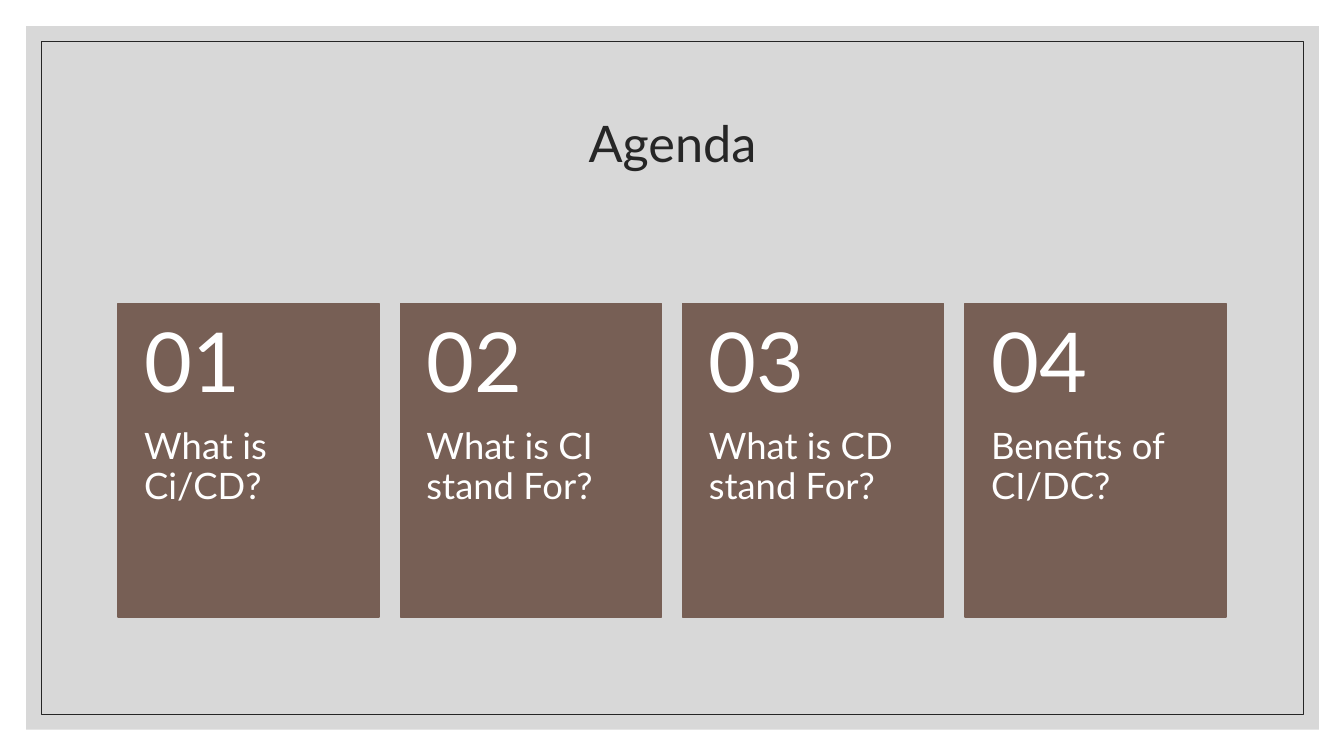
from dataclasses import dataclass

from lxml import etree
from pptx import Presentation
from pptx.dml.color import RGBColor
from pptx.enum.shapes import MSO_SHAPE
from pptx.enum.text import MSO_ANCHOR, PP_ALIGN
from pptx.oxml.ns import qn
from pptx.util import Inches, Pt

RECTANGLE = MSO_SHAPE.RECTANGLE
TOP, MIDDLE = MSO_ANCHOR.TOP, MSO_ANCHOR.MIDDLE
LEFT, CENTER = PP_ALIGN.LEFT, PP_ALIGN.CENTER
TITLE_ONLY = 5


@dataclass(frozen=True)
class Theme:
    font: str = "Lato"
    panel: str = "BFBFBF"
    panel_opacity: int = 60
    ink: str = "262626"
    card: str = "775F55"
    card_text: str = "FFFFFF"
    title_size: int = 36
    number_size: int = 59
    topic_size: int = 26
    line_spacing: float = 0.9


THEME = Theme()
TOPICS = [
    "What is Ci/CD?",
    "What is CI stand For?",
    "What is CD stand For?",
    "Benefits of CI/DC?",
]
CARD_LEFT, CARD_TOP, CARD_PITCH = 1.17, 3.01, 2.8
CARD_WIDTH, CARD_HEIGHT, NUMBER_HEIGHT = 2.59, 3.11, 1.24
CARD_INSET = 0.26


def add_rectangle(shapes, box, fill=None, line=None, line_width=1):
    rectangle = shapes.add_shape(RECTANGLE, *map(Inches, box))
    rectangle.shadow.inherit = False
    if fill:
        rectangle.fill.solid()
        rectangle.fill.fore_color.rgb = RGBColor.from_string(fill)
    else:
        rectangle.fill.background()
    if line:
        rectangle.line.color.rgb = RGBColor.from_string(line)
        rectangle.line.width = Pt(line_width)
    else:
        rectangle.line.fill.background()
    return rectangle


def set_opacity(shape, percent):
    color = shape.fill._xPr.find(qn("a:solidFill"))[0]
    etree.SubElement(color, qn("a:alpha"), val=str(percent * 1000))


def write_text(frame, text, size, color, align, anchor):
    frame.word_wrap = True
    frame.vertical_anchor = anchor
    paragraph = frame.paragraphs[0]
    paragraph.alignment = align
    paragraph.line_spacing = THEME.line_spacing
    run = paragraph.add_run()
    run.text = text
    run.font.name = THEME.font
    run.font.size = Pt(size)
    run.font.color.rgb = RGBColor.from_string(color)


def add_card_text(shapes, box, text, size, anchor, inset_top, inset_bottom):
    frame = shapes.add_textbox(*map(Inches, box)).text_frame
    frame.margin_left = frame.margin_right = Inches(CARD_INSET)
    frame.margin_top, frame.margin_bottom = Inches(inset_top), Inches(inset_bottom)
    write_text(frame, text, size, THEME.card_text, LEFT, anchor)


def add_backdrop(slide):
    panel = add_rectangle(slide.shapes, (0.26, 0.26, 12.82, 6.98), THEME.panel)
    set_opacity(panel, THEME.panel_opacity)
    add_rectangle(slide.shapes, (0.41, 0.41, 12.52, 6.68),
                  line=THEME.ink, line_width=0.5)


def add_title(slide, text):
    """Fill the title placeholder and raise it above the backdrop."""
    title = slide.shapes.title
    title.left, title.top = Inches(1.17), Inches(0.7)
    title.width, title.height = Inches(11), Inches(1.5)
    write_text(title.text_frame, text, THEME.title_size, THEME.ink, CENTER, MIDDLE)
    slide.shapes._spTree.append(title._element)


def add_agenda_card(slide, index, topic):
    shapes = slide.shapes.add_group_shape().shapes
    left = CARD_LEFT + index * CARD_PITCH
    add_rectangle(shapes, (left, CARD_TOP, CARD_WIDTH, CARD_HEIGHT),
                  THEME.card, THEME.card)
    topic_box = (left, CARD_TOP + NUMBER_HEIGHT,
                 CARD_WIDTH, CARD_HEIGHT - NUMBER_HEIGHT)
    add_card_text(shapes, topic_box, topic, THEME.topic_size, TOP, 0, 0.36)
    number_box = (left, CARD_TOP, CARD_WIDTH, NUMBER_HEIGHT)
    add_card_text(shapes, number_box, f"{index + 1:02}", THEME.number_size,
                  MIDDLE, 0.18, 0.18)


def main():
    deck = Presentation()
    deck.slide_width, deck.slide_height = Inches(13.33), Inches(7.5)
    slide = deck.slides.add_slide(deck.slide_layouts[TITLE_ONLY])
    add_backdrop(slide)
    add_title(slide, "Agenda")
    for index, topic in enumerate(TOPICS):
        add_agenda_card(slide, index, topic)
    deck.save("out.pptx")


if __name__ == "__main__":
    main()
